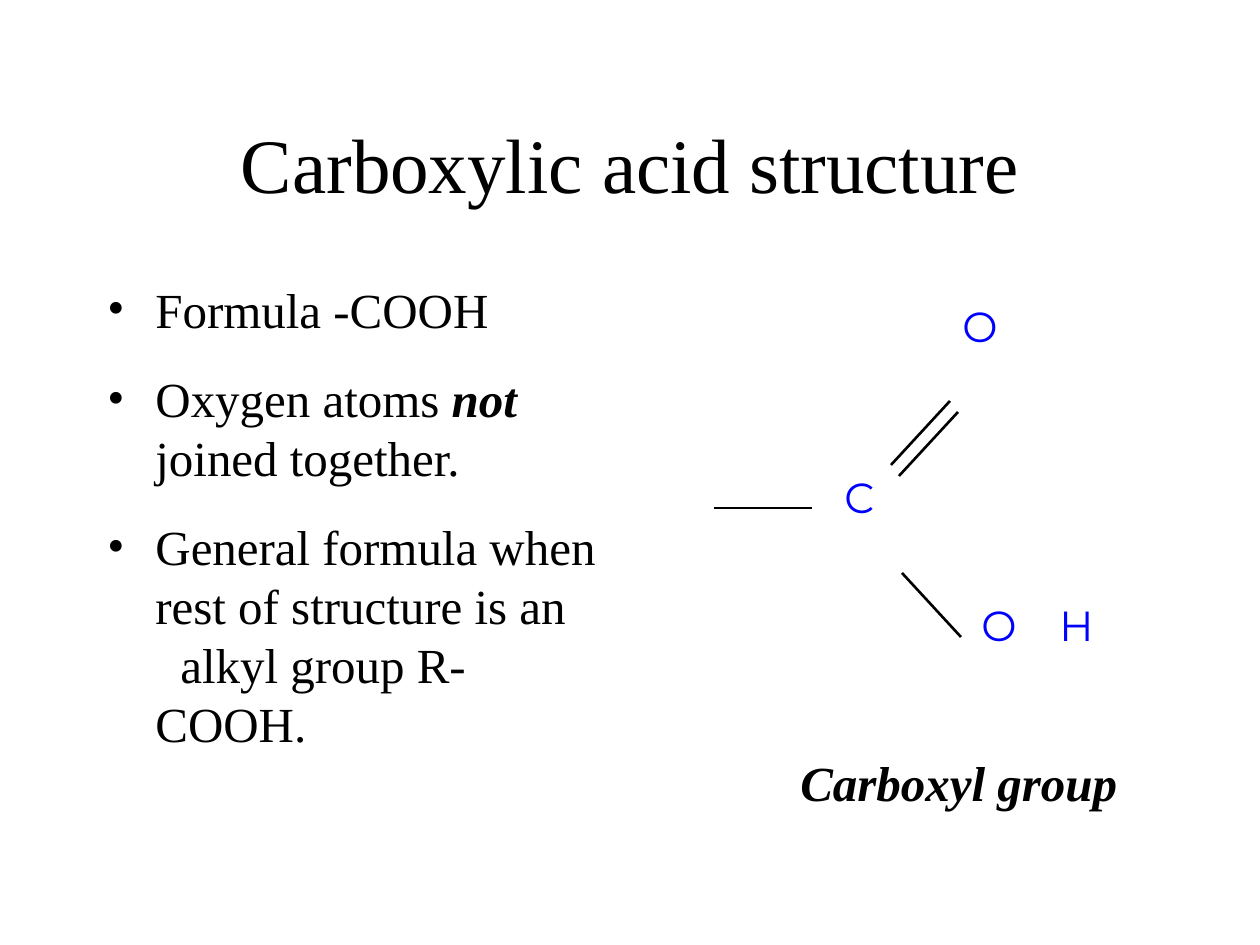
from dataclasses import dataclass
from typing import Any

from lxml.etree import SubElement
from pptx import Presentation
from pptx.dml.color import RGBColor
from pptx.enum.shapes import MSO_CONNECTOR
from pptx.enum.text import MSO_ANCHOR, MSO_AUTO_SIZE, PP_ALIGN
from pptx.oxml.ns import qn
from pptx.util import Emu, Pt

BLACK = RGBColor(0, 0, 0)
BLUE = RGBColor(0, 0, 255)
PX = 914400 / 126

TITLE = dict(name="Times New Roman", size=Pt(44))
BODY = dict(name="Times New Roman", size=Pt(28))
STRONG = dict(bold=True, italic=True)
ATOM = dict(name="Montserrat", size=Pt(24))


@dataclass
class Atom:
    symbol: str
    x: int
    y: int
    w: int


@dataclass
class Bond:
    x1: int
    y1: int
    x2: int
    y2: int


@dataclass
class Item:
    runs: list[tuple[str, dict[str, Any]]]
    before: float = 17.5
    bullet: bool = True


ATOMS = [
    Atom("C", 832, 465, 60),
    Atom("O", 950, 294, 66),
    Atom("O", 969, 593, 66),
    Atom("H", 1047, 593, 66),
]
BONDS = [
    Bond(714, 508, 812, 508),
    Bond(950, 401, 891, 465),
    Bond(958, 412, 899, 476),
    Bond(902, 573, 961, 637),
]
ITEMS = [
    Item([("Formula -COOH", {})], before=0),
    Item([("Oxygen atoms ", {}), ("not", STRONG), (" joined together.", {})]),
    Item([("General formula when rest of structure is an", {})]),
    Item([("alkyl group R-COOH.", {})], before=0, bullet=False),
]


def px(n: int) -> Emu:
    return Emu(round(n * PX))


def add_box(s, x: int, y: int, w: int, h: int, **frame: Any):
    tf = s.shapes.add_textbox(px(x), px(y), px(w), px(h)).text_frame
    for key, value in {"word_wrap": True, **frame}.items():
        setattr(tf, key, value)
    return tf


def add_run(p, text: str, fmt: dict[str, Any], color: RGBColor = BLACK) -> None:
    r = p.add_run()
    r.text = text
    for key, value in fmt.items():
        setattr(r.font, key, value)
    r.font.color.rgb = color


def add_item(p, item: Item) -> None:
    pPr = p._p.get_or_add_pPr()
    pPr.set("marL", str(px(48)))
    # A continuation line starts slightly inside the bullet text
    pPr.set("indent", str(px(-48 if item.bullet else 25)))
    p.space_before = Pt(item.before)
    if item.bullet:
        SubElement(pPr, qn("a:buFont"), typeface="Times New Roman")
        SubElement(pPr, qn("a:buChar"), char="•")
    else:
        SubElement(pPr, qn("a:buNone"))
    for text, fmt in item.runs:
        add_run(p, text, {**BODY, **fmt})


def add_atom(s, atom: Atom) -> None:
    tf = add_box(s, atom.x, atom.y, atom.w, 121, word_wrap=False)
    add_run(tf.paragraphs[0], atom.symbol, ATOM, BLUE)


def add_bond(s, b: Bond) -> None:
    line = s.shapes.add_connector(
        MSO_CONNECTOR.STRAIGHT, px(b.x1), px(b.y1), px(b.x2), px(b.y2))
    line.line.color.rgb = BLACK
    line.line.width = Pt(1.5)
    SubElement(line._element.spPr, qn("a:effectLst"))


def main() -> None:
    prs = Presentation()
    prs.slide_width, prs.slide_height = px(1260), px(945)
    s = prs.slides.add_slide(prs.slide_layouts[6])

    # Title
    tf = add_box(s, 95, 84, 1071, 158, vertical_anchor=MSO_ANCHOR.MIDDLE)
    tf.paragraphs[0].alignment = PP_ALIGN.CENTER
    add_run(tf.paragraphs[0], "Carboxylic acid structure", TITLE)

    # Bullet list
    tf = add_box(s, 95, 273, 525, 567)
    for i, item in enumerate(ITEMS):
        add_item(tf.add_paragraph() if i else tf.paragraphs[0], item)

    # Carboxyl group diagram
    for atom in ATOMS:
        add_atom(s, atom)
    for bond in BONDS:
        add_bond(s, bond)

    # Diagram caption
    tf = add_box(s, 788, 746, 388, 72, auto_size=MSO_AUTO_SIZE.SHAPE_TO_FIT_TEXT)
    add_run(tf.paragraphs[0], "Carboxyl group", {**BODY, **STRONG})

    prs.save("out.pptx")


if __name__ == "__main__":
    main()
